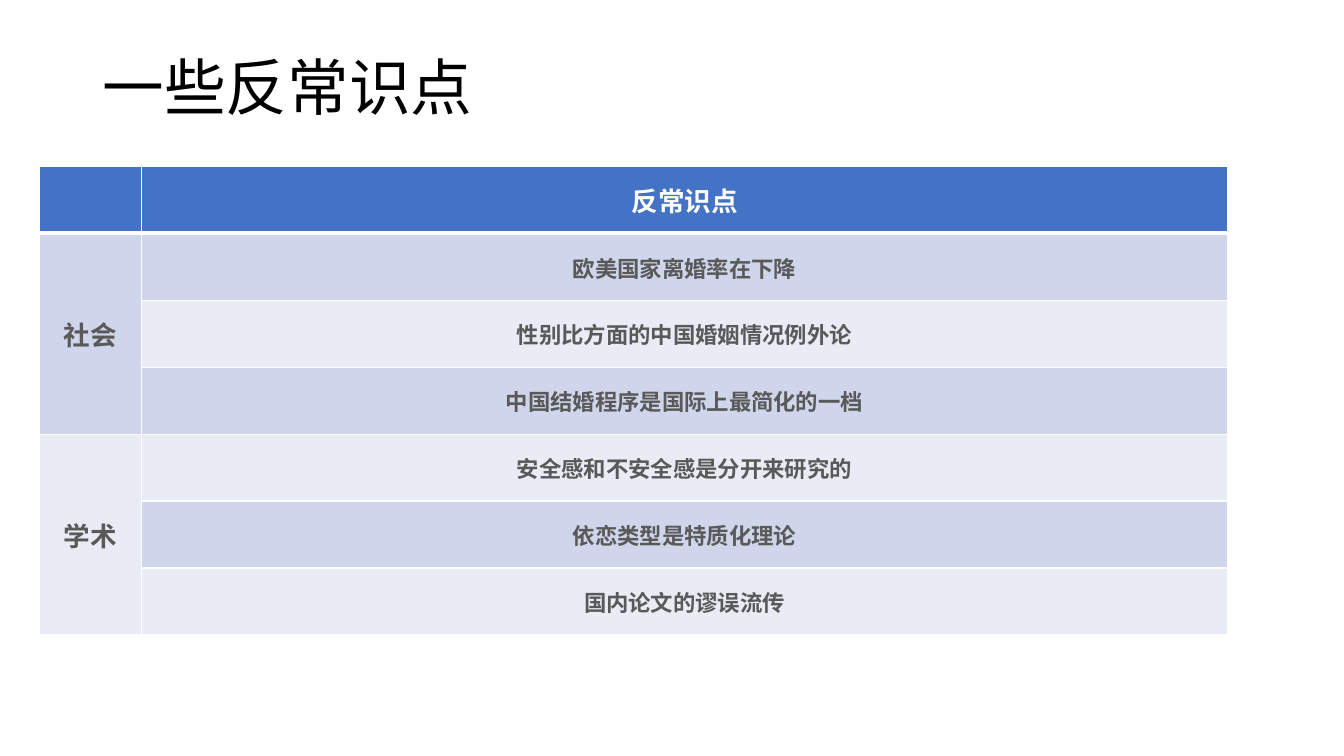
from lxml import etree
from pptx import Presentation
from pptx import util as u
from pptx.dml.color import RGBColor
from pptx.enum import text
from pptx.oxml import ns

TITLE = "一些反常识点"
HEADER = "反常识点"
GROUPS = [
    ("社会", ["欧美国家离婚率在下降", "性别比方面的中国婚姻情况例外论", "中国结婚程序是国际上最简化的一档"]),
    ("学术", ["安全感和不安全感是分开来研究的", "依恋类型是特质化理论", "国内论文的谬误流传"]),
]
COLORS = {"title": "000000", "header": "4472C4", "white": "FFFFFF",
          "body": "595959", "dark": "CFD5EA", "light": "E9EBF5"}
BANDS = ["dark", "light"]
FONT = "Noto Sans CJK SC"
COLUMN_WIDTHS = [1.01, 10.78]
TABLE_LEFT, TABLE_TOP, TABLE_HEIGHT = 0.39, 1.65, 4.65
GROUP_INSETS = (0.11, 0.05, 0.11, 0.05)
POINT_INSETS = (0.01, 0.01, 0.01, 0)


def add_text(paragraph, words, size, color, bold=False):
    run = paragraph.add_run()
    run.text = words
    run.font.size = u.Pt(size)
    run.font.bold = bold
    run.font.name = FONT
    run.font.color.rgb = RGBColor.from_string(COLORS[color])
    east_asian = etree.SubElement(run.font._element, ns.qn("a:ea"))
    east_asian.set("typeface", FONT)


def style_cell(cell, fill, bottom_width=1):
    properties = cell._tc.get_or_add_tcPr()
    for side, width in (("L", 1), ("R", 1), ("T", 1), ("B", bottom_width)):
        line = etree.SubElement(properties, ns.qn("a:ln" + side), w=str(u.Pt(width)))
        solid = etree.SubElement(line, ns.qn("a:solidFill"))
        etree.SubElement(solid, ns.qn("a:srgbClr"), val=COLORS["white"])
    cell.fill.solid()
    cell.fill.fore_color.rgb = RGBColor.from_string(COLORS[fill])


def write_cell(cell, words, size, color, insets):
    cell.vertical_anchor = text.MSO_ANCHOR.MIDDLE
    cell.margin_left, cell.margin_top, cell.margin_right, cell.margin_bottom = map(u.Inches, insets)
    paragraph = cell.text_frame.paragraphs[0]
    paragraph.alignment = text.PP_ALIGN.CENTER
    add_text(paragraph, words, size, color, bold=True)


presentation = Presentation()
presentation.slide_width, presentation.slide_height = u.Inches(13.33), u.Inches(7.5)
slide = presentation.slides.add_slide(presentation.slide_layouts[6])

title_box = slide.shapes.add_textbox(*map(u.Inches, (0.92, 0.4, 11.5, 1)))
title_frame = title_box.text_frame
title_frame.word_wrap = True
title_frame.vertical_anchor = text.MSO_ANCHOR.MIDDLE
title_frame.paragraphs[0].line_spacing = 0.9
add_text(title_frame.paragraphs[0], TITLE, 44, "title")

row_count = 1 + sum(len(points) for _, points in GROUPS)
table = slide.shapes.add_table(
    row_count, len(COLUMN_WIDTHS), u.Inches(TABLE_LEFT), u.Inches(TABLE_TOP),
    u.Inches(sum(COLUMN_WIDTHS)), u.Inches(TABLE_HEIGHT)).table
for column, width in zip(table.columns, COLUMN_WIDTHS):
    column.width = u.Inches(width)
for row in table.rows:
    row.height = u.Inches(TABLE_HEIGHT / row_count)

for cell in table.rows[0].cells:
    style_cell(cell, "header", bottom_width=3)
write_cell(table.cell(0, 1), HEADER, 19, "white", POINT_INSETS)

row_index = 1
for group_index, (group, points) in enumerate(GROUPS):
    group_cell = table.cell(row_index, 0)
    group_cell.merge(table.cell(row_index + len(points) - 1, 0))
    write_cell(group_cell, group, 19, "body", GROUP_INSETS)
    for point in points:
        style_cell(table.cell(row_index, 0), BANDS[group_index % 2])
        style_cell(table.cell(row_index, 1), BANDS[(row_index - 1) % 2])
        write_cell(table.cell(row_index, 1), point, 16, "body", POINT_INSETS)
        row_index += 1

presentation.save("out.pptx")
